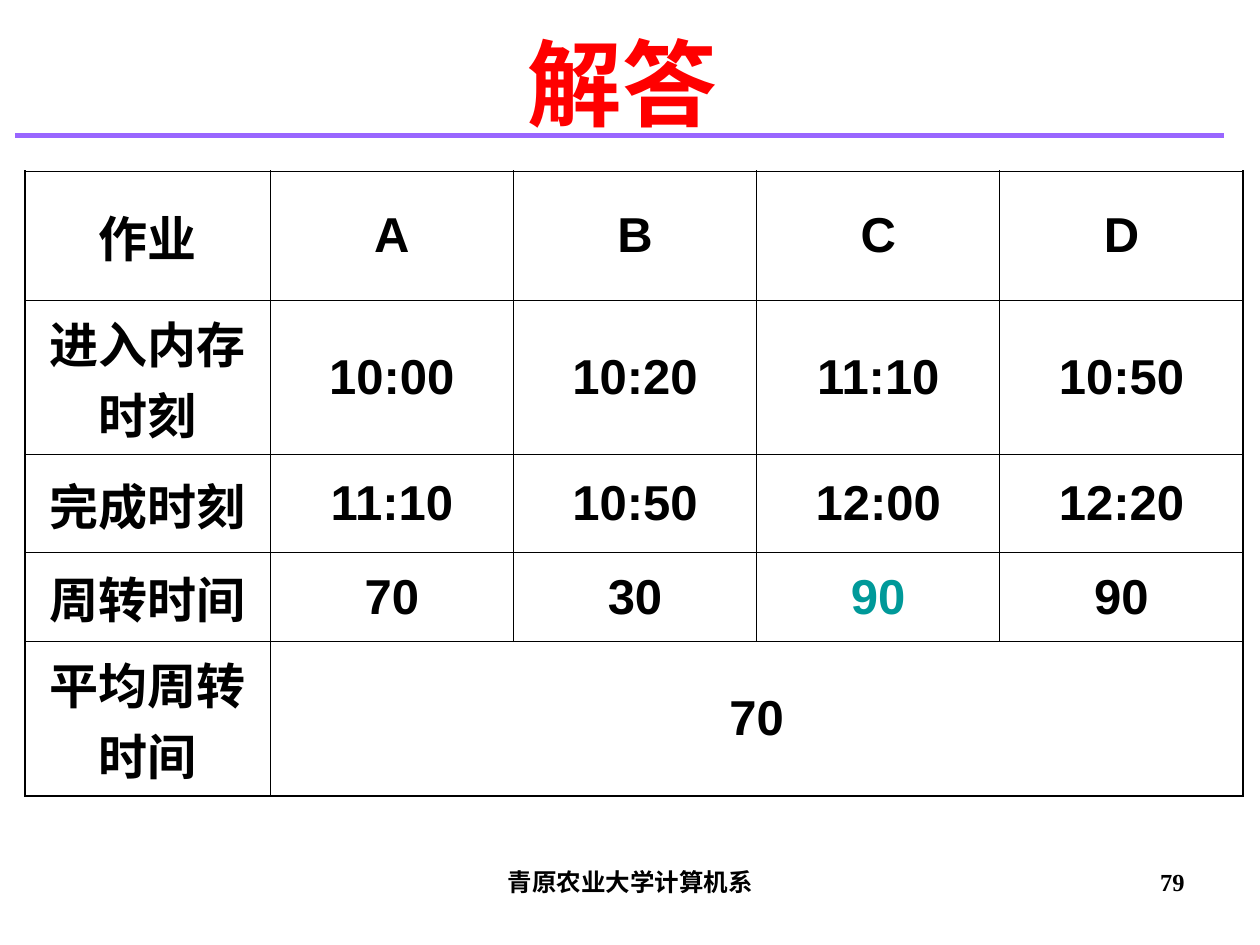
"""Build the answer slide with the job turnaround table."""
from lxml import etree
from pptx import Presentation
from pptx.dml.color import RGBColor
from pptx.enum.shapes import MSO_CONNECTOR
from pptx.enum.text import MSO_ANCHOR, PP_ALIGN
from pptx.oxml.ns import qn
from pptx.util import Pt

LINE = MSO_CONNECTOR.STRAIGHT
MID, TOP = MSO_ANCHOR.MIDDLE, MSO_ANCHOR.TOP
CENTER, RIGHT = PP_ALIGN.CENTER, PP_ALIGN.RIGHT
HUES = {"ink": "000000", "title": "FF0000", "mark": "009999", "rule": "9966FF"}


def write(frame, text, font, size, hue="ink", align=CENTER):
    frame.word_wrap = True
    para = frame.paragraphs[0]
    para.alignment = align
    run = para.add_run()
    run.text = text
    style = {"name": font, "size": Pt(size), "bold": True}
    for key, value in style.items():
        setattr(run.font, key, value)
    run.font.color.rgb = RGBColor.from_string(HUES[hue])


def edge(cell, side, width):
    props = cell._tc.get_or_add_tcPr()
    line = etree.SubElement(props, qn("a:ln" + side), w=str(Pt(width)))
    fill = etree.SubElement(line, qn("a:solidFill"))
    etree.SubElement(fill, qn("a:srgbClr"), val=HUES["ink"])


deck = Presentation()
deck.slide_width, deck.slide_height = Pt(720), Pt(540)
slide = deck.slides.add_slide(deck.slide_layouts[6])
shapes = slide.shapes

texts = [
    ("青原农业大学计算机系", (246.2, 491.8, 228.2, 37.4), "Times New Roman", 14, "ink", CENTER, TOP),
    ("79", (516.2, 491.8, 167.8, 37.4), "Times New Roman", 14, "ink", RIGHT, TOP),
    ("解答", (19.4, 1.4, 672.5, 90), "Arial", 54, "title", CENTER, MID),
]
for text, place, font, size, hue, align, anchor in texts:
    frame = shapes.add_textbox(*map(Pt, place)).text_frame
    frame.vertical_anchor = anchor
    write(frame, text, font, size, hue, align)

rows = [
    ["作业", "A", "B", "C", "D"],
    ["进入内存时刻", "10:00", "10:20", "11:10", "10:50"],
    ["完成时刻", "11:10", "10:50", "12:00", "12:20"],
    ["周转时间", "70", "30", "90", "90"],
    ["平均周转时间", "70", "", "", ""],
]
wide = [140] + [139] * 4
high = [73.8, 88.2, 56, 50.9, 88.2]
place = (14.4, 97.9, sum(wide), sum(high))
table = shapes.add_table(len(rows), len(wide), *map(Pt, place)).table
for col, width in zip(table.columns, wide):
    col.width = Pt(width)
for row, height in zip(table.rows, high):
    row.height = Pt(height)
last, end = len(rows) - 1, len(wide) - 1
table.cell(last, 1).merge(table.cell(last, end))

for r, row in enumerate(rows):
    for c, text in enumerate(row):
        cell = table.cell(r, c)
        outer = {
            "L": c == 0,
            "R": c == end or cell.is_merge_origin,
            "T": r == 0,
            "B": r == last,
        }
        for side, thick in outer.items():
            edge(cell, side, 1.08 if thick else 0.45)
        cell.fill.background()
        cell.vertical_anchor = MID
        if text:
            hue = "mark" if (r, c) == (3, 3) else "ink"
            write(cell.text_frame, text, "Arial", 28, hue)

rule = shapes.add_connector(LINE, Pt(8.6), Pt(77.3), Pt(699.4), Pt(77.3))
rule.line.color.rgb = RGBColor.from_string(HUES["rule"])
rule.line.width = Pt(3)
etree.SubElement(rule._element.spPr, qn("a:effectLst"))

deck.save("out.pptx")
